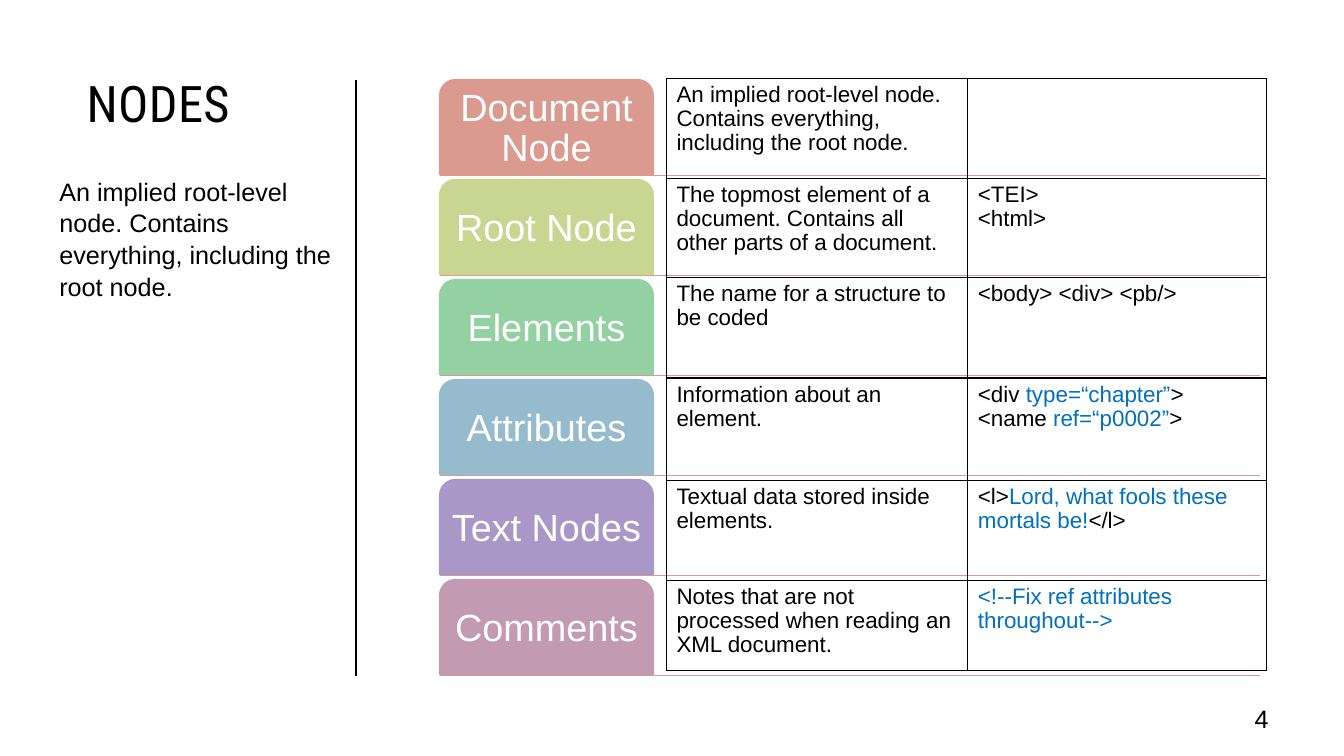
from dataclasses import dataclass

from lxml import etree
from pptx import Presentation
from pptx.dml.color import RGBColor
from pptx.enum.shapes import MSO_CONNECTOR, MSO_SHAPE
from pptx.enum.text import MSO_ANCHOR, PP_ALIGN
from pptx.oxml.ns import qn
from pptx.util import Inches, Pt

STRAIGHT = MSO_CONNECTOR.STRAIGHT
TAB_CARD = MSO_SHAPE.ROUND_2_SAME_RECTANGLE
MIDDLE = MSO_ANCHOR.MIDDLE
CENTER, RIGHT = PP_ALIGN.CENTER, PP_ALIGN.RIGHT


@dataclass(frozen=True)
class Theme:
    black: str = "000000"
    white: str = "FFFFFF"
    blue: str = "0070C0"
    rule: str = "DB9A8F"
    body_font: str = "Arial"
    title_font: str = "Roboto Condensed"
    title_size: int = 36
    card_size: int = 27
    body_size: int = 18
    table_size: int = 16


theme = Theme()
IMPLIED = "An implied root-level node. Contains everything, including the root node."

# Label, card colour, row height, description, example lines of (text, colour) runs
nodes = [
    ("Document Node", "DB9A8F", 0.99, IMPLIED, []),
    ("Root Node", "C8D691", 0.98,
     "The topmost element of a document. Contains all other parts of a document.",
     [[("<TEI>", theme.black)], [("<html>", theme.black)]]),
    ("Elements", "93D1A3", 1.0, "The name for a structure to be coded",
     [[("<body> <div> <pb/>", theme.black)]]),
    ("Attributes", "95BBCC", 1.02, "Information about an element.",
     [[("<div ", theme.black), ("type=“chapter”", theme.blue), (">", theme.black)],
      [("<name ", theme.black), ("ref=“p0002”", theme.blue), (">", theme.black)]]),
    ("Text Nodes", "A997C7", 0.99, "Textual data stored inside elements.",
     [[("<l>", theme.black), ("Lord, what fools these mortals be!", theme.blue),
       ("</l>", theme.black)]]),
    ("Comments", "C29AB1", 0.89,
     "Notes that are not processed when reading an XML document.",
     [[("<!--Fix ref attributes throughout-->", theme.blue)]]),
]


def style_run(r, size, color=theme.black, font=theme.body_font):
    r.font.size = Pt(size)
    r.font.name = font
    r.font.color.rgb = RGBColor.from_string(color)


def add_line(x1, y1, x2, y2, color):
    line = s.shapes.add_connector(STRAIGHT, Inches(x1), Inches(y1), Inches(x2), Inches(y2))
    line.line.color.rgb = RGBColor.from_string(color)
    line.line.width = Pt(1)
    etree.SubElement(line._element.spPr, qn("a:effectLst"))


prs = Presentation()
prs.slide_width, prs.slide_height = Inches(13.33), Inches(7.5)
s = prs.slides.add_slide(prs.slide_layouts[6])

# Title, side text and slide number
text_boxes = [
    ("NODES", 0.76, 0.67, 2.38, 4.91, theme.title_size, theme.title_font),
    (IMPLIED, 0.49, 1.68, 3.04, 1.01, theme.body_size, theme.body_font),
    ("4", 11.94, 6.95, 0.74, 0.4, theme.body_size, theme.body_font),
]
for text, x, y, w, h, size, font in text_boxes:
    tf = s.shapes.add_textbox(Inches(x), Inches(y), Inches(w), Inches(h)).text_frame
    tf.word_wrap = True
    p = tf.paragraphs[0]
    p.text = text
    r = p.runs[0]
    style_run(r, size, font=font)
    if text == "NODES":
        r.font._element.set("spc", "30")
    elif text == IMPLIED:
        p.line_spacing = 1.05
    else:
        tf.vertical_anchor = MIDDLE
        p.alignment = RIGHT
        p.line_spacing = 0.9

add_line(3.53, 6.71, 3.53, 0.79, theme.black)

# Coloured cards, each standing on a thin rule
CARD_X, CARD_Y, CARD_W, CARD_H = 4.36, 0.79, 2.12, 0.94
CARD_PITCH = 0.992
for i, (label, color, *_) in enumerate(nodes):
    top = CARD_Y + i * CARD_PITCH
    add_line(CARD_X, top + CARD_H + 0.01, 12.5, top + CARD_H + 0.01, theme.rule)
    sp = s.shapes.add_shape(TAB_CARD, Inches(CARD_X), Inches(top),
                            Inches(CARD_W), Inches(CARD_H))
    sp.shadow.inherit = False
    sp.fill.solid()
    sp.fill.fore_color.rgb = RGBColor.from_string(color)
    sp.line.color.rgb = RGBColor.from_string(color)
    sp.line.width = Pt(1)
    tf = sp.text_frame
    tf.word_wrap = True
    tf.vertical_anchor = MIDDLE
    tf.margin_left = tf.margin_right = tf.margin_top = tf.margin_bottom = Inches(0.06)
    p = tf.paragraphs[0]
    p.text = label
    p.alignment = CENTER
    p.line_spacing = 0.9
    style_run(p.runs[0], theme.card_size, theme.white)

# Table of descriptions and examples
table = s.shapes.add_table(len(nodes), 2, Inches(6.61), Inches(0.78),
                           Inches(5.95), Inches(5.87)).table
table.first_row = table.horz_banding = False
table.columns[0].width, table.columns[1].width = Inches(2.99), Inches(2.96)
for i, (_, _, height, description, example) in enumerate(nodes):
    table.rows[i].height = Inches(height)
    for j, lines in enumerate(([[(description, theme.black)]], example)):
        cell = table.cell(i, j)
        tf = cell.text_frame
        for n, line in enumerate(lines):
            p = tf.paragraphs[0] if n == 0 else tf.add_paragraph()
            p.line_spacing = 0.96
            for text, color in line:
                r = p.add_run()
                r.text = text
                style_run(r, theme.table_size, color)
        tcPr = cell._tc.get_or_add_tcPr()
        for side in ("lnL", "lnR", "lnT", "lnB"):
            border = etree.SubElement(tcPr, qn(f"a:{side}"), w=str(Pt(1)))
            fill = etree.SubElement(border, qn("a:solidFill"))
            etree.SubElement(fill, qn("a:srgbClr"), val=theme.black)
        cell.fill.background()

prs.save("out.pptx")
